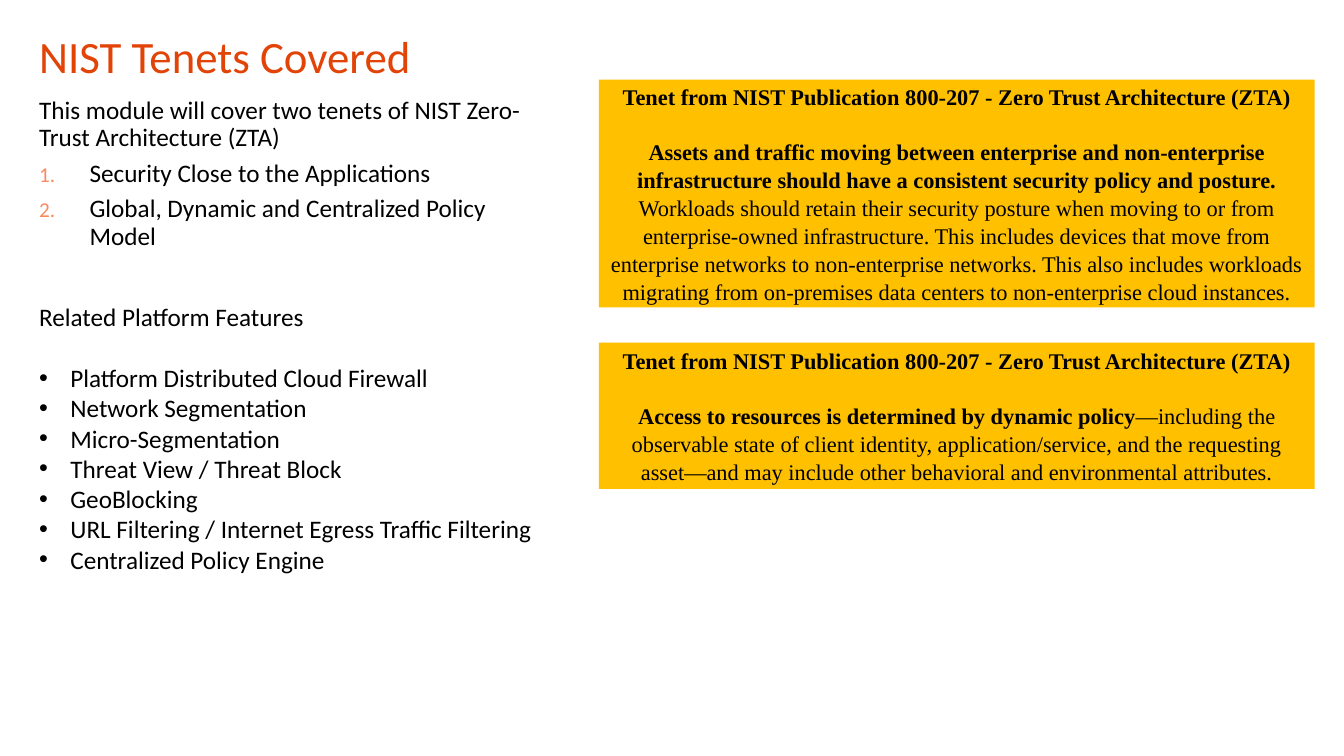
from dataclasses import dataclass

from lxml.etree import SubElement
from pptx import Presentation
from pptx.dml.color import RGBColor as RGB
from pptx.enum.shapes import MSO_SHAPE as Shape
from pptx.enum.text import MSO_ANCHOR as Anchor, PP_ALIGN as Align
from pptx.oxml.ns import qn
from pptx.util import Emu, Inches, Pt

COLS, ROWS = 80, 45
ORANGE = RGB(0xE2, 0x43, 0x07)
PEACH = RGB(0xFA, 0x89, 0x5E)
GOLD = RGB(0xFF, 0xC0, 0x00)
BLACK = RGB(0, 0, 0)
SANS, SERIF = "Calibri", "Times New Roman"


@dataclass
class Area:
    """A block of the grid, in columns and rows."""
    col: float
    row: float
    wide: float
    high: float


@dataclass
class Para:
    text: str
    gap: float = 0
    mark: str = ""
    indent: float = 0
    lead: float = 1
    bold: bool = False
    tail: str = ""


@dataclass
class Style:
    font: str
    size: float
    color: RGB = BLACK
    align: Align = Align.LEFT
    anchor: Anchor = Anchor.TOP


@dataclass
class Tenet:
    area: Area
    rule: str
    detail: str


TITLE = Style(SANS, 32, ORANGE, anchor=Anchor.MIDDLE)
BODY = Style(SANS, 18)
NOTE = Style(SERIF, 16, align=Align.CENTER, anchor=Anchor.MIDDLE)

HEAD = "Tenet from NIST Publication 800-207 - Zero Trust Architecture (ZTA)"
TENETS = [
    Tenet(Area(35.65, 4.74, 42.6, 13.56),
          "Assets and traffic moving between enterprise and non-enterprise "
          "infrastructure should have a consistent security policy and posture. ",
          "Workloads should retain their security posture when moving to or from "
          "enterprise-owned infrastructure. This includes devices that move from "
          "enterprise networks to non-enterprise networks. This also includes "
          "workloads migrating from on-premises data centers to non-enterprise "
          "cloud instances."),
    Tenet(Area(35.65, 20.4, 42.6, 8.7),
          "Access to resources is determined by dynamic policy",
          "—including the observable state of client identity, "
          "application/service, and the requesting asset—and may include other "
          "behavioral and environmental attributes."),
]
INTRO = "This module will cover two tenets of NIST Zero-Trust Architecture (ZTA)"
TOPICS = ["Security Close to the Applications",
          "Global, Dynamic and Centralized Policy Model"]
FEATURES = ["Platform Distributed Cloud Firewall", "Network Segmentation",
            "Micro-Segmentation", "Threat View / Threat Block", "GeoBlocking",
            "URL Filtering / Internet Egress Traffic Filtering",
            "Centralized Policy Engine"]

deck = Presentation()
deck.slide_width, deck.slide_height = Emu(12192000), Emu(6858000)
slide = deck.slides.add_slide(deck.slide_layouts[6])


def place(area: Area) -> list[Emu]:
    """Turn grid units into left, top, width and height."""
    col, row = deck.slide_width / COLS, deck.slide_height / ROWS
    return [Emu(round(num * unit)) for num, unit in
            ((area.col, col), (area.row, row), (area.wide, col), (area.high, row))]


def set_mark(line, item: Para) -> None:
    """Give a paragraph its hanging bullet or number."""
    props = line._p.get_or_add_pPr()
    props.set("marL", str(Inches(item.indent)))
    props.set("indent", str(-Inches(item.indent)))
    if item.mark == "1.":
        tint = SubElement(props, qn("a:buClr"))
        SubElement(tint, qn("a:srgbClr"), val=str(PEACH))
        SubElement(props, qn("a:buSzPct"), val="84000")
        SubElement(props, qn("a:buFont"), typeface=SANS)
        SubElement(props, qn("a:buAutoNum"), type="arabicPeriod")
    else:
        SubElement(props, qn("a:buFont"), typeface="Arial")
        SubElement(props, qn("a:buChar"), char=item.mark)


def write(shape, paras: list[Para], style: Style) -> None:
    frame = shape.text_frame
    frame.word_wrap = True
    frame.vertical_anchor = style.anchor
    for num, item in enumerate(paras):
        line = frame.add_paragraph() if num else frame.paragraphs[0]
        line.text = item.text
        if item.mark:
            set_mark(line, item)
        line.alignment = style.align
        line.line_spacing = item.lead
        line.space_before = Pt(item.gap)
        line.runs[0].font.bold = item.bold
        if item.tail:
            rest = line.add_run()
            rest.text = item.tail
            rest.font.bold = False
        for run in line.runs:
            run.font.name = style.font
            run.font.size = Pt(style.size)
            run.font.color.rgb = style.color


def add_text(area: Area, paras: list[Para], style: Style) -> None:
    write(slide.shapes.add_textbox(*place(area)), paras, style)


def add_tenet(tenet: Tenet) -> None:
    card = slide.shapes.add_shape(Shape.RECTANGLE, *place(tenet.area))
    card.shadow.inherit = False
    card.fill.solid()
    card.fill.fore_color.rgb = GOLD
    card.line.fill.background()
    write(card, [Para(HEAD, lead=1.05, bold=True),
                 Para(tenet.rule, gap=19, lead=1.05, bold=True, tail=tenet.detail)],
          NOTE)


def main() -> None:
    add_text(Area(1.74, 1.62, 71.34, 3.84),
             [Para("NIST Tenets Covered", lead=0.9)], TITLE)
    topics = [Para(text, 6, "1.", 0.5, 0.9) for text in TOPICS]
    add_text(Area(1.74, 5.52, 31, 9.72), [Para(INTRO, lead=0.9), *topics], BODY)
    for tenet in TENETS:
        add_tenet(tenet)
    points = [Para(text, 0 if num else 22, "•", 0.31)
              for num, text in enumerate(FEATURES)]
    add_text(Area(1.74, 17.64, 32.76, 17),
             [Para("Related Platform Features"), *points], BODY)
    deck.save("out.pptx")


if __name__ == "__main__":
    main()
